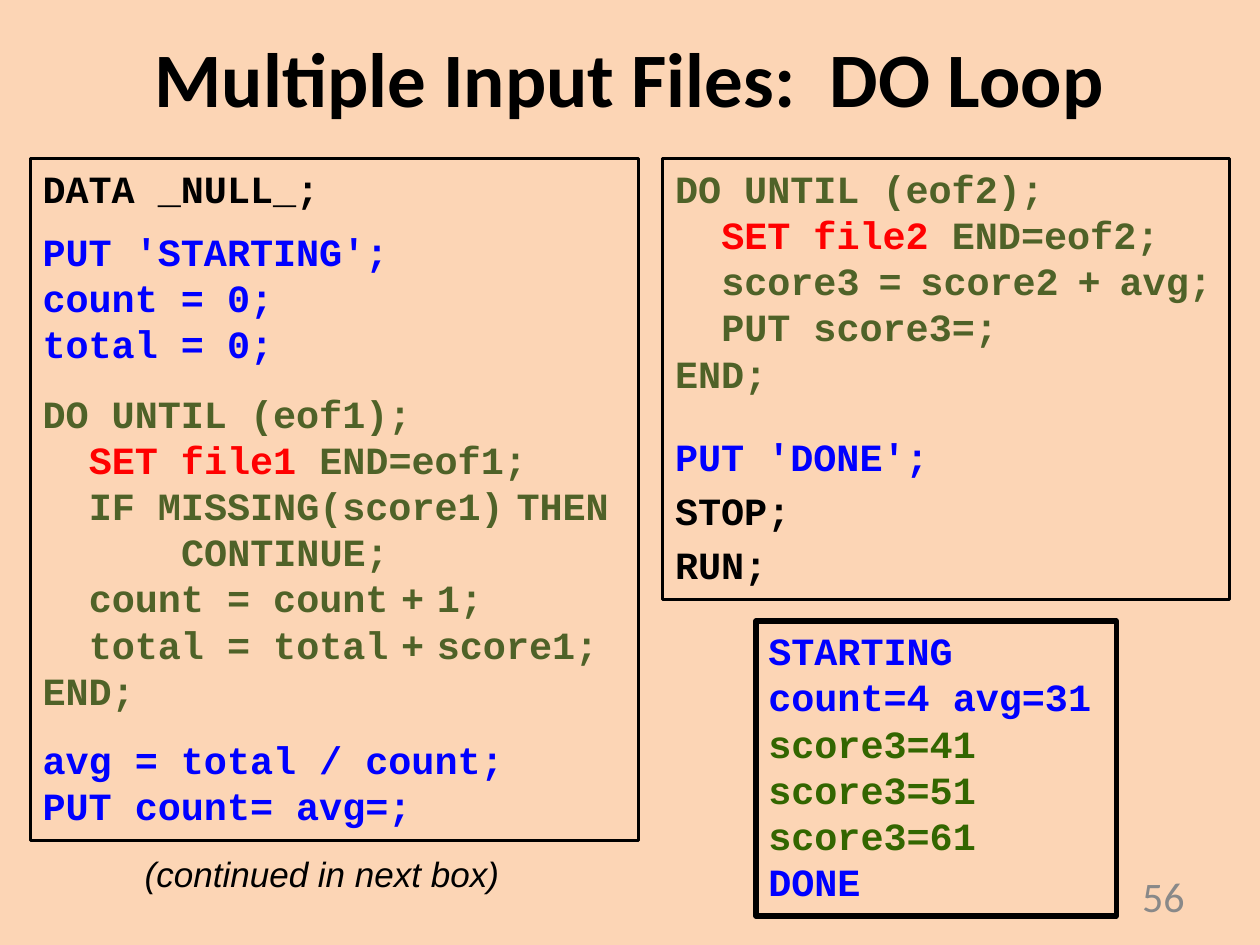
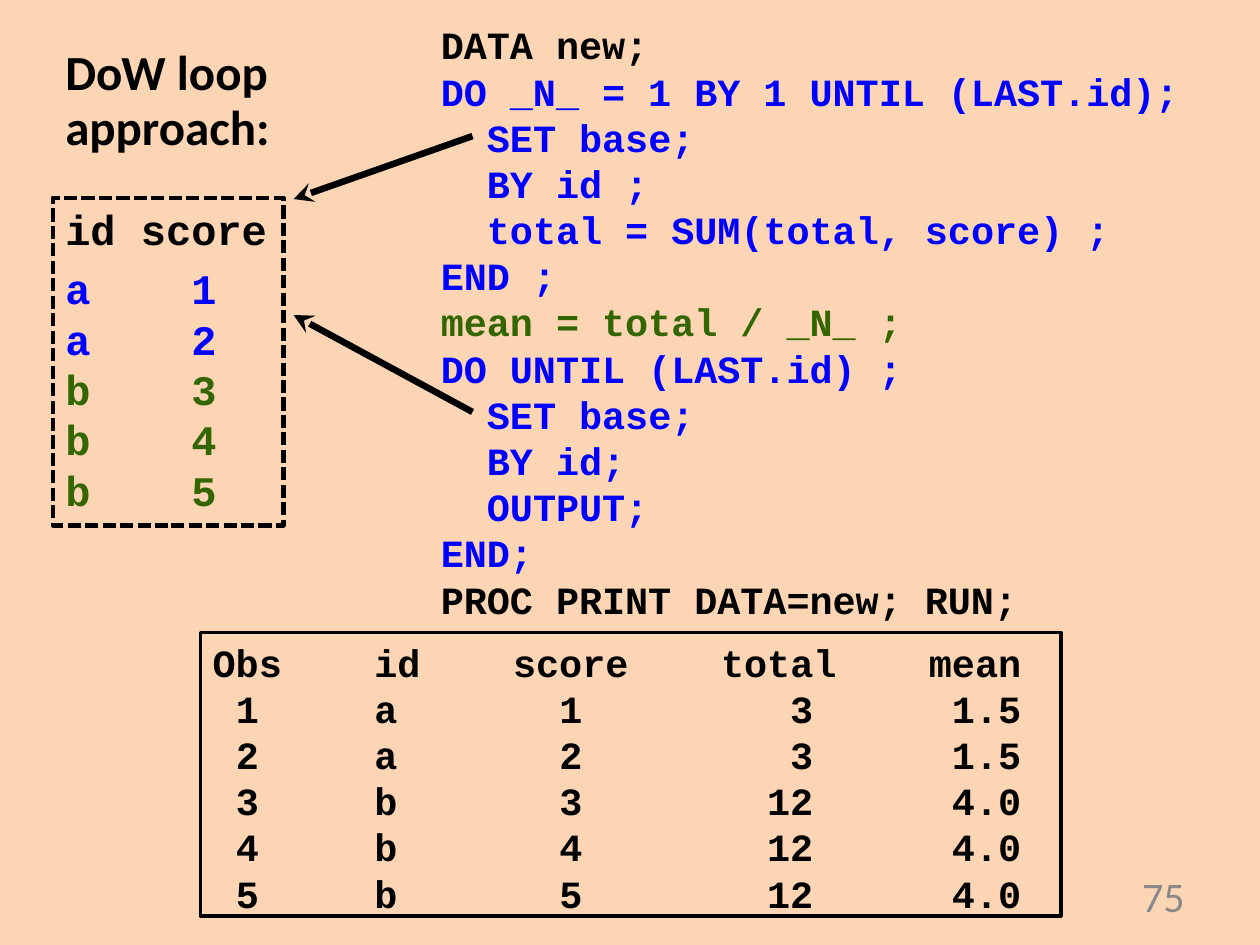
"""Builds two slides on SAS loops: code listings, their output and arrows."""
from dataclasses import dataclass

from lxml import etree
from pptx import Presentation
from pptx.dml.color import RGBColor
from pptx.enum.dml import MSO_LINE
from pptx.enum.shapes import MSO_CONNECTOR, MSO_SHAPE
from pptx.enum.text import MSO_ANCHOR, PP_ALIGN
from pptx.oxml.ns import qn
from pptx.slide import Slide
from pptx.util import Pt

RECT = MSO_SHAPE.RECTANGLE
LINE = MSO_CONNECTOR.STRAIGHT
DASH = MSO_LINE.SQUARE_DOT
TOP, MID = MSO_ANCHOR.TOP, MSO_ANCHOR.MIDDLE
LEFT, MIDDLE, RIGHT = PP_ALIGN.LEFT, PP_ALIGN.CENTER, PP_ALIGN.RIGHT

INK = {
    "page": "FCD5B5", "black": "000000", "blue": "0000FF", "red": "FF0000",
    "olive": "4F6228", "green": "336600", "grey": "898989",
}
CODE = "Courier New"
LEAD = 1.2
CHAR = 0.6
HEAD_TABS = ((7, "l"), (15.5, "ctr"), (27, "r"), (35, "r"))
ROW_TABS = ((1, "l"), (7, "l"), (15.5, "ctr"), (26, "r"), (35, "r"))
PAIR_TABS = ((5, "l"),)


@dataclass
class Line:
    """One line of text; pad and tabs count characters, ~ is a thin space."""
    text: str
    ink: str = "black"
    pad: int = 0
    above: float = 0
    below: float = 0
    hot: str = ""
    thin: float = 12
    tabs: tuple = ()


@dataclass
class Box:
    """A block of lines, framed when edge is set."""
    at: tuple
    lines: list
    size: float = 22
    font: str = CODE
    bold: bool = True
    slant: bool = False
    edge: float = 0
    dash: bool = False
    align: PP_ALIGN = LEFT
    anchor: MSO_ANCHOR = TOP
    lead: float | None = None


@dataclass
class Arrow:
    """A line from start to a pointed end."""
    start: tuple
    end: tuple


def tint(name: str) -> RGBColor:
    """Return a named colour."""
    return RGBColor.from_string(INK[name])


def add_run(para, box: Box, text: str, ink: str, size: float) -> None:
    """Add one run in the style of its box."""
    run = para.add_run()
    run.text = text
    font = run.font
    font.name, font.size = box.font, Pt(size)
    font.bold, font.italic = box.bold, box.slant
    font.color.rgb = tint(ink)


def fill_line(para, box: Box, line: Line) -> None:
    """Set spacing, indent, tabs and runs of one paragraph."""
    step = box.size * CHAR
    para.alignment = box.align
    para.space_before, para.space_after = Pt(line.above), Pt(line.below)
    if box.font == CODE:
        para.line_spacing = Pt(box.size * LEAD)
    elif box.lead:
        para.line_spacing = box.lead
    props = para._p.get_or_add_pPr()
    if line.pad:
        props.set("marL", str(Pt(line.pad * step)))
        props.set("indent", "0")
    if line.tabs:
        stops = etree.SubElement(props, qn("a:tabLst"))
        for col, kind in line.tabs:
            etree.SubElement(stops, qn("a:tab"), pos=str(Pt(col * step)), algn=kind)
    if line.hot:
        add_run(para, box, line.hot, "red", box.size)
    for i, part in enumerate(line.text.split("~")):
        if i:
            add_run(para, box, " ", line.ink, line.thin)
        add_run(para, box, part, line.ink, box.size)


def add_box(slide: Slide, box: Box) -> None:
    """Draw a text block."""
    area = [Pt(v) for v in box.at]
    if box.edge:
        shape = slide.shapes.add_shape(RECT, *area)
        shape.shadow.inherit = False
        shape.fill.background()
        shape.line.color.rgb = tint("black")
        shape.line.width = Pt(box.edge)
        if box.dash:
            shape.line.dash_style = DASH
    else:
        shape = slide.shapes.add_textbox(*area)
    frame = shape.text_frame
    frame.word_wrap = True
    frame.vertical_anchor = box.anchor
    for i, line in enumerate(box.lines):
        para = frame.add_paragraph() if i else frame.paragraphs[0]
        fill_line(para, box, line)


def add_arrow(slide: Slide, arrow: Arrow) -> None:
    """Draw a black arrow with a stealth head."""
    ends = [Pt(v) for v in arrow.start + arrow.end]
    link = slide.shapes.add_connector(LINE, *ends)
    link.line.color.rgb = tint("black")
    link.line.width = Pt(3.75)
    etree.SubElement(link.line._get_or_add_ln(), qn("a:tailEnd"), type="stealth")
    etree.SubElement(link._element.spPr, qn("a:effectLst"))


def add_page(deck, number: int, boxes: list, arrows: list) -> None:
    """Add a slide with its background, blocks, arrows and number."""
    slide = deck.slides.add_slide(deck.slide_layouts[6])
    fill = slide.background.fill
    fill.solid()
    fill.fore_color.rgb = tint("page")
    foot = Box((516.24, 497.5, 167.76, 28.8), [Line(str(number), "grey")], 24,
               "Calibri", bold=False, align=RIGHT, anchor=MID)
    for box in boxes + [foot]:
        add_box(slide, box)
    for arrow in arrows:
        add_arrow(slide, arrow)


FIRST = [
    Line("DATA _NULL_;"),
    Line("PUT 'STARTING';", "blue", above=9.6),
    Line("count = 0;", "blue"),
    Line("total = 0;", "blue"),
    Line("DO UNTIL (eof1);", "olive", above=13.2),
    Line(" END=eof1;", "olive", 2, hot="SET file1"),
    Line("IF MISSING(score1)~THEN", "olive", 2),
    Line("CONTINUE;", "olive", 6),
    Line("count = count~+~1;", "olive", 2),
    Line("total = total~+~score1;", "olive", 2),
    Line("END;", "olive"),
    Line("avg = total / count;", "blue", above=13.2),
    Line("PUT count= avg=;", "blue"),
]
SECOND = [
    Line("DO UNTIL (eof2);", "olive"),
    Line(" END=eof2;", "olive", 2, hot="SET file2"),
    Line("score3~=~score2~+~avg;", "olive", 2, thin=18),
    Line("PUT score3=;", "olive", 2),
    Line("END;", "olive"),
    Line("PUT 'DONE';", "blue", above=21.2),
    Line("STOP;", above=4.4),
    Line("RUN;", above=4.4),
]
LOG = [
    Line("STARTING", "blue"),
    Line("count=4 avg=31", "blue"),
    *[Line(f"score3={n}", "green") for n in (41, 51, 61)],
    Line("DONE", "blue"),
]
DOW = [
    Line("DATA new;"),
    Line("DO _N_ = 1 BY 1 UNTIL (LAST.id);", "blue"),
    Line("SET base;", "blue", 2),
    Line("BY id ;", "blue", 2),
    Line("total = SUM(total, score) ;", "blue", 2),
    Line("END ;", "blue"),
    Line("mean = total / _N_ ;", "green"),
    Line("DO UNTIL (LAST.id) ;", "blue"),
    Line("SET base;", "blue", 2),
    Line("BY id;", "blue", 2),
    Line("OUTPUT;", "blue", 2),
    Line("END;", "blue"),
    Line("PROC PRINT DATA=new; RUN;"),
]
IDS = "aabbb"
STATS = {"a": ("blue", 3, "1.5"), "b": ("green", 12, "4.0")}
BASE = [Line("id score", below=4.8)] + [
    Line(f"{key}\t{n}", STATS[key][0], tabs=PAIR_TABS)
    for n, key in enumerate(IDS, 1)
]
PRINT = [Line("Obs\tid\tscore\ttotal\tmean", tabs=HEAD_TABS)] + [
    Line(f"\t{n}\t{key}\t{n}\t{STATS[key][1]}\t{STATS[key][2]}", tabs=ROW_TABS)
    for n, key in enumerate(IDS, 1)
]


def main() -> None:
    """Build and save the deck."""
    deck = Presentation()
    deck.slide_width, deck.slide_height = Pt(720), Pt(540)
    add_page(deck, 56, [
        Box((36, 9.36, 648, 68.4), [Line("Multiple Input Files:  DO Loop")], 44,
            "Calibri", align=MIDDLE, anchor=MID),
        Box((17.28, 90.72, 347.76, 389.52), FIRST, edge=1.5),
        Box((378.72, 90.72, 324, 252), SECOND, edge=1.5),
        Box((432, 354.96, 205.92, 168.48), LOG, edge=3),
        Box((75.6, 483.84, 221.76, 31.68), [Line("(continued in next box)")], 20,
            "Arial", bold=False, slant=True),
    ], [])
    add_page(deck, 75, [
        Box((244.8, 8.64, 439.2, 353.52), DOW),
        Box((30.24, 23.76, 138.24, 72),
            [Line(t, below=1.4) for t in ("DoW loop", "approach:")], 28,
            "Calibri", lead=0.9),
        Box((114.48, 361.44, 491.76, 162), PRINT, edge=2),
        Box((30.24, 113.04, 131.76, 187.2), BASE, 24, edge=2.5, dash=True),
    ], [
        Arrow((270, 77.76), (167.76, 113.76)),
        Arrow((270, 235.44), (167.76, 180)),
    ])
    deck.save("out.pptx")


if __name__ == "__main__":
    main()
